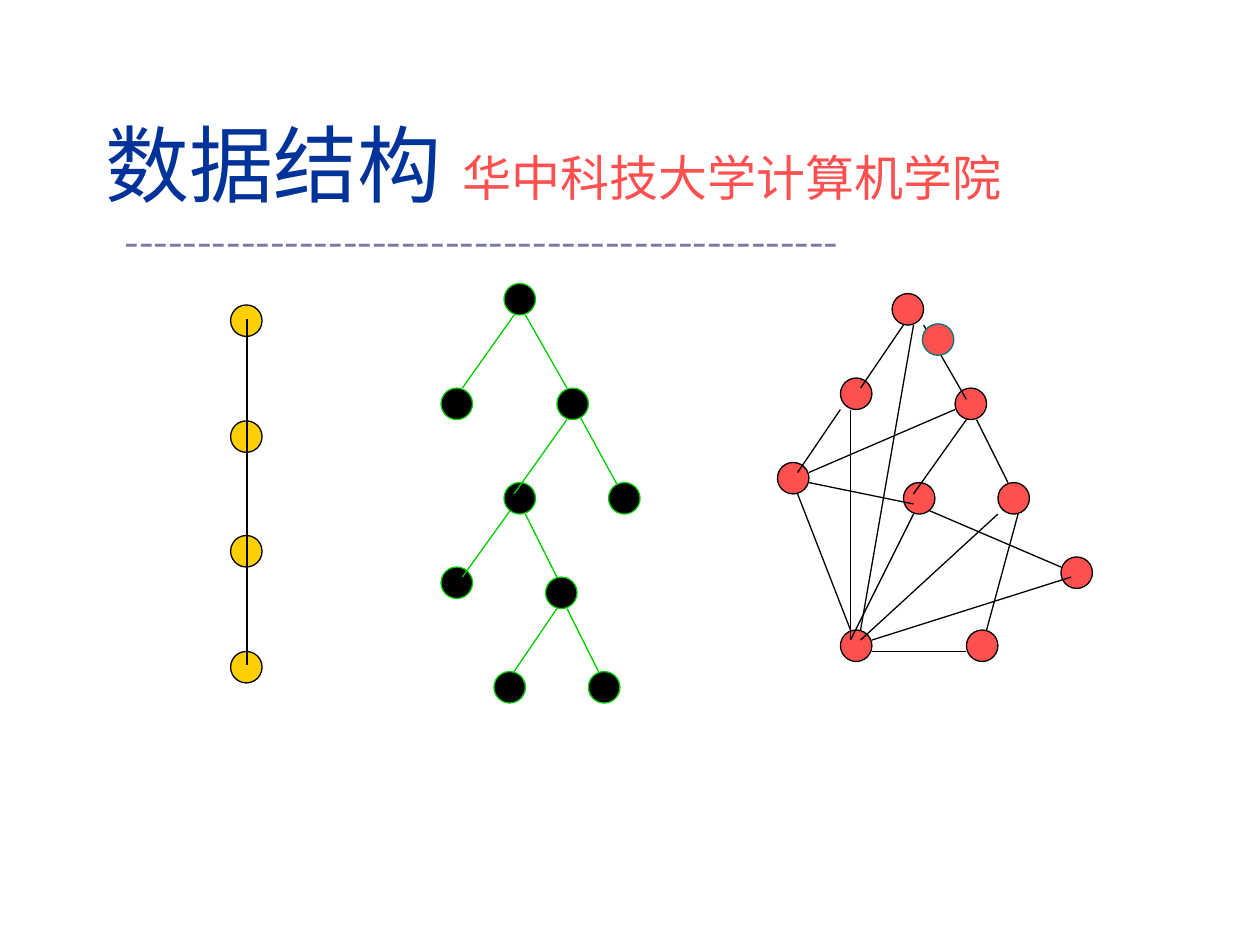
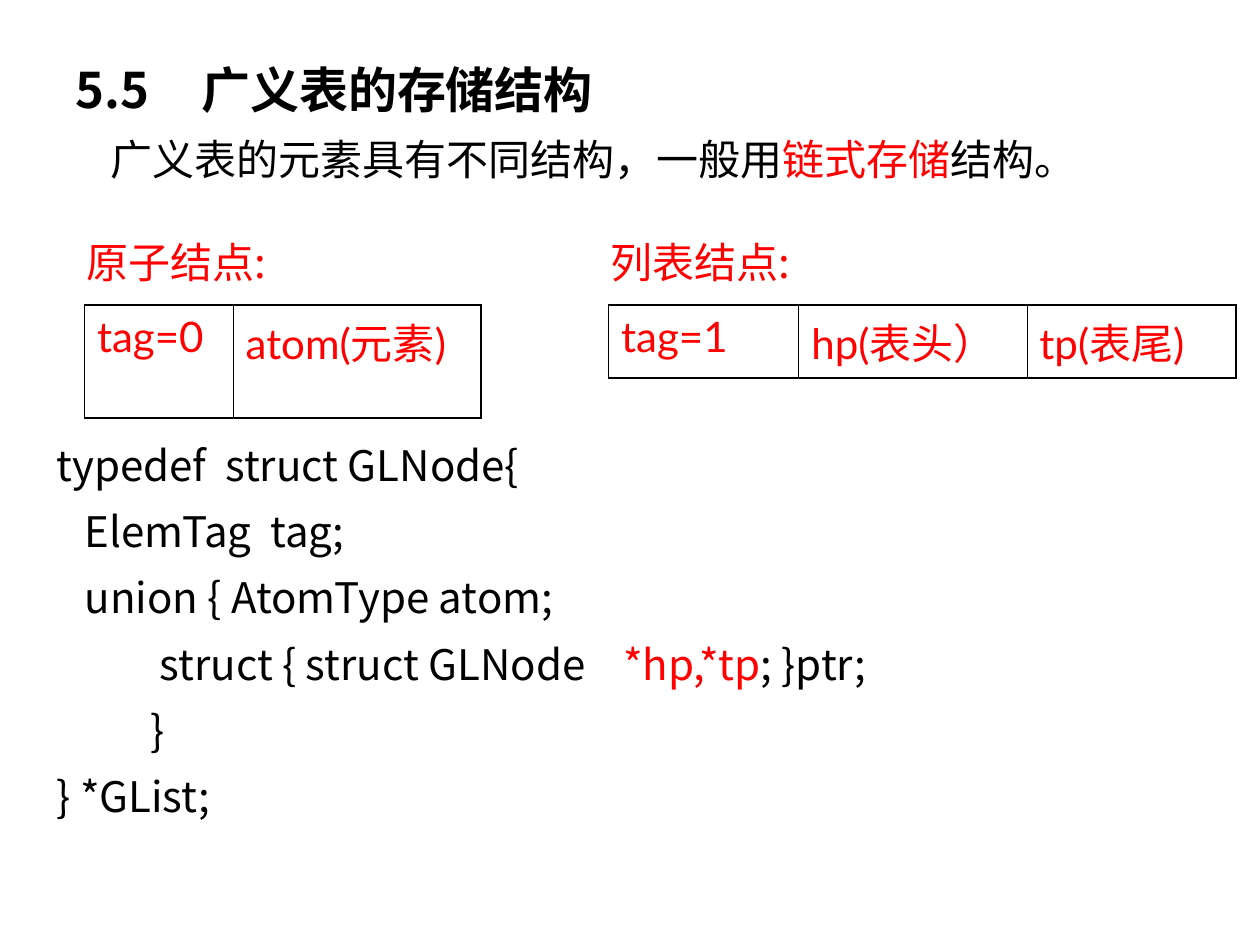
"""Build a data structures title slide and a slide on storing generalized lists."""
import pptx
import pptx.dml.color
import pptx.enum.shapes
import pptx.enum.text
import pptx.oxml.ns
import pptx.util
from lxml import etree

Inches = pptx.util.Inches
Pt = pptx.util.Pt
qn = pptx.oxml.ns.qn

COLORS = {
    "black": "000000", "red": "FF0000", "coral": "FF5050", "gold": "FFCF01",
    "green": "00CC00", "teal": "007A77", "navy": "003399", "slate": "7979A5",
}
CJK_FONT = "Noto Sans CJK SC"
LATIN_FONT = "Lato"
NODE_SIZE = 0.25
PARAGRAPH_GAP = 9

TITLE = [
    {"spans": [("数据结构", 48, "navy"), (" ", 54, "navy"),
               ("华中科技大学计算机学院", 28, "coral")]},
    {"spans": [("-" * 49, 24, "slate")], "indent": 0.15, "gap": 0},
]

DIAGRAMS = [
    {
        "fill": "coral", "line": "black",
        "nodes": [(7.08, 2.33), (6.67, 3), (7.58, 3.08), (7.17, 3.83), (7.92, 3.83),
                  (6.17, 3.67), (7.67, 5), (8.42, 4.42), (6.67, 5)],
        "edges": [
            (7.37, 4.05, 8.42, 4.5), (7.17, 2.58, 6.83, 3.08), (7.33, 2.58, 7.67, 3.17),
            (7.67, 3.33, 7.25, 3.92), (6.67, 3.25, 6.33, 3.75), (7.75, 3.33, 8, 3.83),
            (6.33, 3.92, 6.75, 5), (7.25, 4.08, 6.75, 5.08), (6.92, 5.17, 7.67, 5.17),
            (7.25, 2.58, 6.83, 5), (7.92, 4.08, 6.83, 5.08), (8.08, 4.08, 7.83, 5),
            (6.75, 3.25, 6.75, 5.08), (6.42, 3.83, 7.25, 4), (6.42, 3.75, 7.58, 3.25),
            (6.92, 5.08, 8.5, 4.58),
        ],
    },
    {
        "fill": "gold", "line": "black",
        "nodes": [(1.83, round(2.42 + 0.917 * step, 2)) for step in range(4)],
        "edges": [(1.96, 2.53, 1.96, 5.28)],
    },
    {
        "fill": "black", "line": "green",
        "nodes": [(4, 2.25), (3.5, 3.08), (4.42, 3.08), (4.83, 3.83), (4, 3.83),
                  (3.5, 4.5), (4.33, 4.58), (3.92, 5.33), (4.67, 5.33)],
        "edges": [
            (4.08, 2.5, 3.67, 3.08), (4.17, 2.5, 4.5, 3.08), (4.5, 3.33, 4.08, 3.92),
            (4.61, 3.32, 4.9, 3.85), (4.05, 4.05, 3.67, 4.58), (4.17, 4.08, 4.42, 4.58),
            (4.42, 4.83, 4.08, 5.33), (4.5, 4.83, 4.75, 5.33),
        ],
    },
    {"fill": "coral", "line": "teal", "nodes": [(7.32, 2.57)], "edges": []},
]

INTRO = [
    {"spans": [("5.5\t广义表的存储结构", 28, "black")], "bold": True, "tab": 0.85},
    {"spans": [("广义表的元素具有不同结构，一般用", 24, "black"),
               ("链式存储", 24, "red"), ("结构。", 24, "black")], "first_line": 0.28},
]

NODE_TABLES = [
    {"label": "原子结点:", "left": 0.67, "height": 0.9,
     "fields": [("tag=0", 1.18), ("atom(元素)", 1.97)]},
    {"label": "列表结点:", "left": 4.83, "height": 0.58,
     "fields": [("tag=1", 1.51), ("hp(表头）", 1.81), ("tp(表尾)", 1.66)]},
]

CODE = [
    [("typedef  struct GLNode{", "black")],
    [("   ElemTag  tag;", "black")],
    [("   union { AtomType atom;", "black")],
    [("           struct { struct GLNode    ", "black"), ("*hp,*tp", "red"),
      ("; }ptr;", "black")],
    [("          }", "black")],
    [("} *GList;", "black")],
]


def rgb(name):
    return pptx.dml.color.RGBColor.from_string(COLORS[name])


def style_span(span, size, color, font=CJK_FONT, bold=False):
    span.font.size = Pt(size)
    span.font.bold = bold
    span.font.name = font
    span.font.color.rgb = rgb(color)
    east_asian = etree.SubElement(span.font._element, qn("a:ea"))
    east_asian.set("typeface", CJK_FONT)


def fill_paragraph(para, content):
    properties = para._p.get_or_add_pPr()
    properties.set("marL", str(Inches(content.get("indent", 0))))
    properties.set("indent", str(Inches(content.get("first_line", 0))))
    if "tab" in content:
        tabs = etree.SubElement(properties, qn("a:tabLst"))
        etree.SubElement(tabs, qn("a:tab"), pos=str(Inches(content["tab"])), algn="l")
    for text, size, color in content["spans"]:
        span = para.add_run()
        span.text = text
        style_span(span, size, color, bold=content.get("bold", False))


def add_text(page, left, top, width, height, paragraphs, anchor="TOP"):
    box = page.shapes.add_textbox(Inches(left), Inches(top), Inches(width), Inches(height))
    frame = box.text_frame
    frame.word_wrap = True
    frame.vertical_anchor = getattr(pptx.enum.text.MSO_ANCHOR, anchor)
    for index, content in enumerate(paragraphs):
        para = frame.add_paragraph() if index else frame.paragraphs[0]
        fill_paragraph(para, content)
        if index:
            para.space_before = Pt(content.get("gap", PARAGRAPH_GAP))


def add_node(page, left, top, fill, line):
    node = page.shapes.add_shape(
        pptx.enum.shapes.MSO_SHAPE.OVAL,
        Inches(left), Inches(top), Inches(NODE_SIZE), Inches(NODE_SIZE))
    node.shadow.inherit = False
    node.fill.solid()
    node.fill.fore_color.rgb = rgb(fill)
    node.line.color.rgb = rgb(line)
    node.line.width = Pt(0.75)


def add_edge(page, points, color):
    edge = page.shapes.add_connector(
        pptx.enum.shapes.MSO_CONNECTOR.STRAIGHT, *[Inches(value) for value in points])
    edge.line.color.rgb = rgb(color)
    edge.line.width = Pt(0.75)
    etree.SubElement(edge._element.spPr, qn("a:effectLst"))


def add_diagram(page, diagram):
    for left, top in diagram["nodes"]:
        add_node(page, left, top, diagram["fill"], diagram["line"])
    for points in diagram["edges"]:
        add_edge(page, points, diagram["line"])


def set_borders(cell, is_first, is_last):
    outer, inner = 1.08, 0.45
    widths = {"a:lnL": outer if is_first else inner, "a:lnR": outer if is_last else inner,
              "a:lnT": outer, "a:lnB": outer}
    properties = cell._tc.get_or_add_tcPr()
    for position, (tag, width) in enumerate(widths.items()):
        border = etree.Element(qn(tag), w=str(Pt(width)))
        solid = etree.SubElement(border, qn("a:solidFill"))
        etree.SubElement(solid, qn("a:srgbClr"), val=COLORS["black"])
        properties.insert(position, border)


def add_node_table(page, content):
    fields = content["fields"]
    add_text(page, content["left"] - 0.08, 1.83, 2.17, 0.5,
             [{"spans": [(content["label"], 24, "red")]}])
    table = page.shapes.add_table(
        1, len(fields), Inches(content["left"]), Inches(2.42),
        Inches(sum(width for _, width in fields)), Inches(content["height"])).table
    table.first_row = False
    table.horz_banding = False
    for column, (text, width) in enumerate(fields):
        table.columns[column].width = Inches(width)
        cell = table.cell(0, column)
        cell.fill.background()
        cell.text_frame.text = text
        style_span(cell.text_frame.paragraphs[0].runs[0], 24, "red", LATIN_FONT)
        set_borders(cell, column == 0, column == len(fields) - 1)


def main():
    deck = pptx.Presentation()
    deck.slide_width, deck.slide_height = Inches(10), Inches(7.5)
    cover, storage = [deck.slides.add_slide(deck.slide_layouts[6]) for _ in range(2)]

    add_text(cover, 0.74, 0.9, 8.92, 1.12, TITLE, "MIDDLE")
    for diagram in DIAGRAMS:
        add_diagram(cover, diagram)

    add_text(storage, 0.5, 0.42, 9, 1.18, INTRO)
    for content in NODE_TABLES:
        add_node_table(storage, content)
    code = [{"spans": [(text, 24, color) for text, color in line]} for line in CODE]
    add_text(storage, 0.35, 3.44, 9.37, 3.54, code)

    deck.save("out.pptx")


if __name__ == "__main__":
    main()
